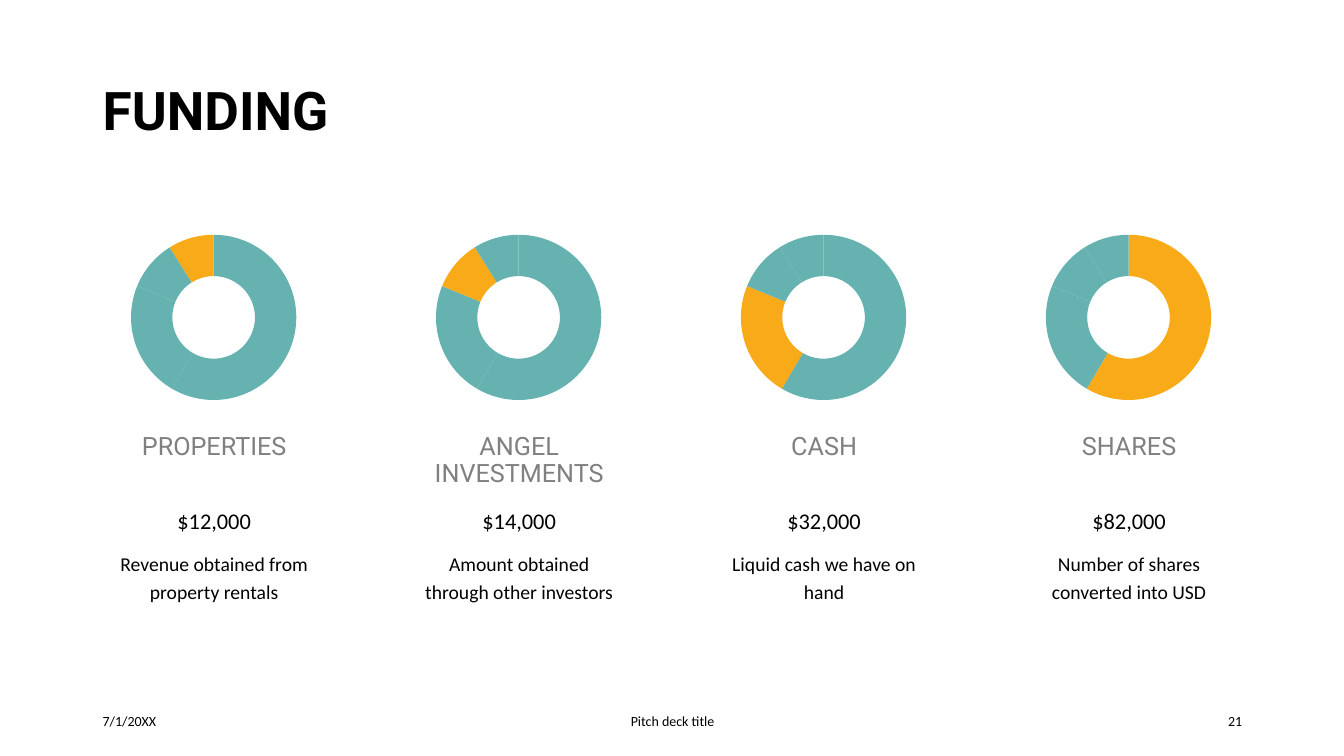
from dataclasses import dataclass
from typing import NamedTuple, Optional

from lxml.etree import SubElement
from pptx import Presentation
from pptx.chart.data import CategoryChartData
from pptx.dml.color import RGBColor
from pptx.enum.chart import XL_CHART_TYPE
from pptx.enum.text import MSO_ANCHOR, PP_ALIGN
from pptx.oxml.ns import qn
from pptx.slide import Slide
from pptx.util import Inches, Pt

SLIDE_WIDTH, SLIDE_HEIGHT = Inches(13.33), Inches(7.5)
COLORS = {"text": "000000", "heading": "808080", "ring": "66B2B0", "highlight": "F9AA19"}
RING_VALUES = (59, 23, 10, 9)
COLUMN_PITCH = 22.69  # percent of the slide width


class Area(NamedTuple):
    """Left and width in percent of the slide width, top and height of its height."""
    left: float
    top: float
    width: float
    height: float

    def shifted(self, columns: int) -> "Area":
        return self._replace(left=self.left + columns * COLUMN_PITCH)

    def lengths(self) -> tuple[int, ...]:
        sides = (SLIDE_WIDTH, SLIDE_HEIGHT, SLIDE_WIDTH, SLIDE_HEIGHT)
        return tuple(round(side * share / 100) for side, share in zip(sides, self))


@dataclass(frozen=True)
class TextStyle:
    size: int
    font: str = "Calibri"
    color: str = "text"
    bold: bool = False
    alignment: PP_ALIGN = PP_ALIGN.CENTER
    anchor: MSO_ANCHOR = MSO_ANCHOR.TOP
    line_spacing: Optional[float] = None


@dataclass(frozen=True)
class Source:
    heading: str
    amount: str
    description: str
    highlight: int


@dataclass(frozen=True)
class FooterItem:
    text: str
    left: float
    width: float
    alignment: PP_ALIGN


RING_AREA = Area(8.4, 29.2, 15, 25.33)
TITLE_AREA = Area(6.9, 5.33, 86.27, 19.33)
HEADING_AREA = Area(7.5, 56.67, 16.88, 8)
AMOUNT_AREA = Area(7.5, 66.27, 16.88, 4)
DESCRIPTION_AREA = Area(7.5, 71.73, 16.88, 13.33)

TITLE = TextStyle(38, "Roboto", bold=True, alignment=PP_ALIGN.LEFT,
                  anchor=MSO_ANCHOR.MIDDLE, line_spacing=0.9)
HEADING = TextStyle(18, "Roboto", "heading", line_spacing=0.9)
AMOUNT = TextStyle(16, line_spacing=Pt(20))
DESCRIPTION = TextStyle(14, line_spacing=Pt(20))

SOURCES = (
    Source("PROPERTIES", "$12,000", "Revenue obtained from property rentals", 3),
    Source("ANGEL INVESTMENTS", "$14,000", "Amount obtained through other investors", 2),
    Source("CASH", "$32,000", "Liquid cash we have on hand", 1),
    Source("SHARES", "$82,000", "Number of shares converted into USD", 0),
)
FOOTER = (
    FooterItem("7/1/20XX", 6.9, 22.5, PP_ALIGN.LEFT),
    FooterItem("Pitch deck title", 33.16, 33.76, PP_ALIGN.CENTER),
    FooterItem("21", 70.67, 22.5, PP_ALIGN.RIGHT),
)


def color(name: str) -> RGBColor:
    return RGBColor.from_string(COLORS[name])


def add_text(slide: Slide, area: Area, text: str, style: TextStyle) -> None:
    frame = slide.shapes.add_textbox(*area.lengths()).text_frame
    frame.word_wrap = True
    frame.vertical_anchor = style.anchor
    paragraph = frame.paragraphs[0]
    paragraph.alignment = style.alignment
    paragraph.line_spacing = style.line_spacing
    run = paragraph.add_run()
    run.text = text
    run.font.name = style.font
    run.font.size = Pt(style.size)
    run.font.bold = style.bold
    run.font.color.rgb = color(style.color)


def add_ring(slide: Slide, area: Area, highlight: int) -> None:
    data = CategoryChartData()
    data.categories = [str(number + 1) for number in range(len(RING_VALUES))]
    data.add_series("Series 1", RING_VALUES)
    chart = slide.shapes.add_chart(XL_CHART_TYPE.DOUGHNUT, *area.lengths(), data).chart
    chart.has_legend = False
    chart.has_title = False
    chart.font.name = "Calibri"
    chart.font.size = Pt(10)
    chart.font.color.rgb = color("text")
    plot = chart.plots[0]
    plot.vary_by_categories = True
    for index in range(len(RING_VALUES)):
        point_format = plot.series[0].points[index].format
        point_format.fill.solid()
        point_format.fill.fore_color.rgb = color("highlight" if index == highlight else "ring")
        point_format.line.fill.background()

    # Centre the ring in a fixed plot area
    plot_area = chart.element.find(".//" + qn("c:plotArea"))
    layout = plot_area.find(qn("c:layout"))
    if layout is None:
        layout = SubElement(plot_area, qn("c:layout"))
        plot_area.insert(0, layout)
    manual = SubElement(layout, qn("c:manualLayout"))
    settings = {"layoutTarget": "inner", "xMode": "edge", "yMode": "edge",
                "x": "0.09", "y": "0.07", "w": "0.82", "h": "0.87"}
    for tag, value in settings.items():
        SubElement(manual, qn(f"c:{tag}")).set("val", value)


def main() -> None:
    presentation = Presentation()
    presentation.slide_width, presentation.slide_height = SLIDE_WIDTH, SLIDE_HEIGHT
    slide = presentation.slides.add_slide(presentation.slide_layouts[6])

    # Title
    add_text(slide, TITLE_AREA, "FUNDING", TITLE)

    # Funding sources
    for column, source in enumerate(SOURCES):
        add_ring(slide, RING_AREA.shifted(column), source.highlight)
        add_text(slide, HEADING_AREA.shifted(column), source.heading, HEADING)
        add_text(slide, AMOUNT_AREA.shifted(column), source.amount, AMOUNT)
        add_text(slide, DESCRIPTION_AREA.shifted(column), source.description, DESCRIPTION)

    # Footer
    for item in FOOTER:
        style = TextStyle(10, alignment=item.alignment, anchor=MSO_ANCHOR.MIDDLE)
        add_text(slide, Area(item.left, 92.67, item.width, 5.33), item.text, style)

    presentation.save("out.pptx")


if __name__ == "__main__":
    main()
